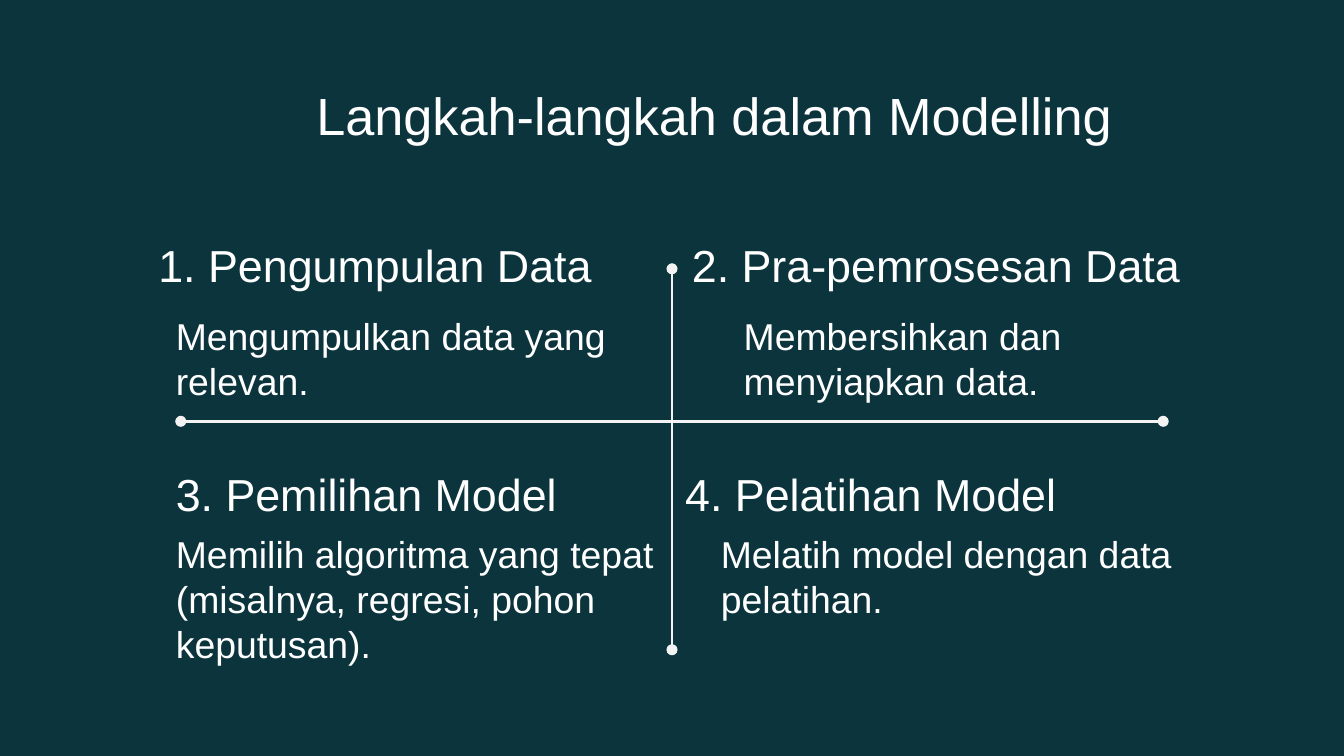
import pptx
import pptx.util
import pptx.dml.color
import pptx.enum.shapes
import pptx.enum.text
import pptx.oxml
import pptx.oxml.ns

PX = 4572  # 200 px to the inch
W, H = 2000, 1125
TEAL, WHITE, PALE = "0C343D", "FFFFFF", "F3F3F3"
FONT = "Arial"


def px(n):
    return pptx.util.Emu(n * PX)


def rgb(code):
    return pptx.dml.color.RGBColor.from_string(code)


def add_text(s, box, text, size):
    tb = s.shapes.add_textbox(*map(px, box))
    tf = tb.text_frame
    tf.word_wrap = True
    tf.auto_size = pptx.enum.text.MSO_AUTO_SIZE.SHAPE_TO_FIT_TEXT
    tf.text = text
    font = tf.paragraphs[0].runs[0].font
    font.name = FONT
    font.size = pptx.util.Pt(size)
    font.color.rgb = rgb(WHITE)


def add_rule(s, x1, y1, x2, y2):
    """Line with a round dot at each end."""
    line = s.shapes.add_connector(
        pptx.enum.shapes.MSO_CONNECTOR.STRAIGHT, *map(px, (x1, y1, x2, y2)))
    line.line.color.rgb = rgb(PALE)
    line.line.width = pptx.util.Pt(1.5)
    sp_pr = line._element.spPr
    ln = sp_pr.find(pptx.oxml.ns.qn("a:ln"))
    for tag in ("a:headEnd", "a:tailEnd"):
        end = pptx.oxml.ns.qn(tag)
        ln.append(ln.makeelement(end, {"type": "oval", "w": "med", "len": "med"}))
    sp_pr.append(sp_pr.makeelement(pptx.oxml.ns.qn("a:effectLst"), {}))


def add_cross(s, x, y, w, h, bar_dy):
    """Cross that parts the four steps, with its bar bar_dy below the top."""
    add_rule(s, x + w // 2, y, x + w // 2, y + h)
    add_rule(s, x, y + bar_dy, x + w, y + bar_dy)


def add_step(s, x, y, w, heading, body, body_box):
    """Heading at the box corner; body_box is relative to that corner."""
    dx, dy, body_w, body_h = body_box
    add_text(s, (x, y, w, 98), heading, 24)
    add_text(s, (x + dx, y + dy, body_w, body_h), body, 20)


def build_slide(prs):
    s = prs.slides.add_slide(prs.slide_layouts[6])
    s.background.fill.solid()
    s.background.fill.fore_color.rgb = rgb(TEAL)

    # Dividing cross
    add_cross(s, 269, 400, 1462, 567, 227)

    # Title
    add_text(s, (451, 114, 1376, 112), "Langkah-langkah dalam Modelling", 28)

    # Four steps
    top, bottom = 344, 684
    steps = [
        (216, top, 1004, "1. Pengumpulan Data",
         "Mengumpulkan data yang relevan.", (26, 112, 768, 154)),
        (1010, top, 1000, "2. Pra-pemrosesan Data",
         "Membersihkan dan menyiapkan data.", (77, 112, 700, 154)),
        (242, bottom, 1000, "3. Pemilihan Model",
         "Memilih algoritma yang tepat (misalnya, regresi, pohon keputusan).",
         (0, 97, 776, 220)),
        (1000, bottom, 1000, "4. Pelatihan Model",
         "Melatih model dengan data pelatihan.", (53, 97, 768, 154)),
    ]
    for step in steps:
        add_step(s, *step)


def main():
    prs = pptx.Presentation()
    prs.slide_width, prs.slide_height = px(W), px(H)
    build_slide(prs)
    prs.save("out.pptx")


if __name__ == "__main__":
    main()
